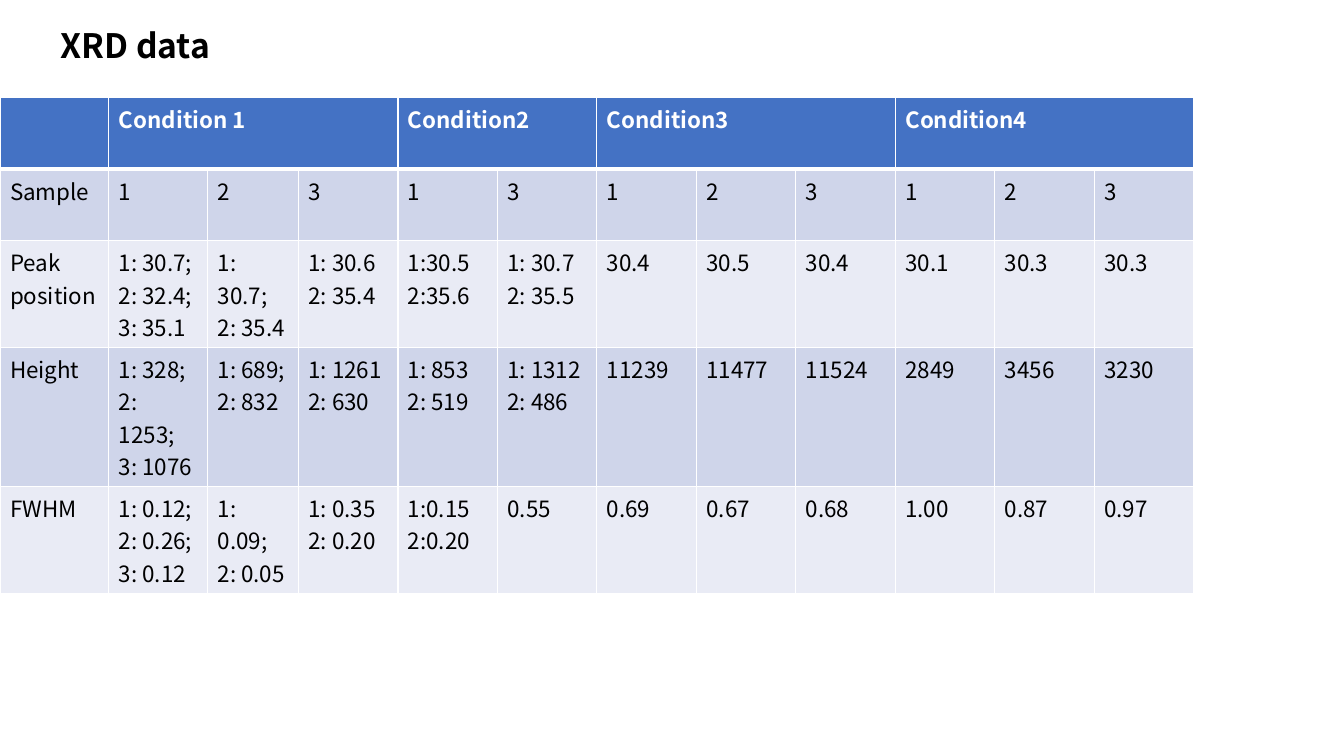
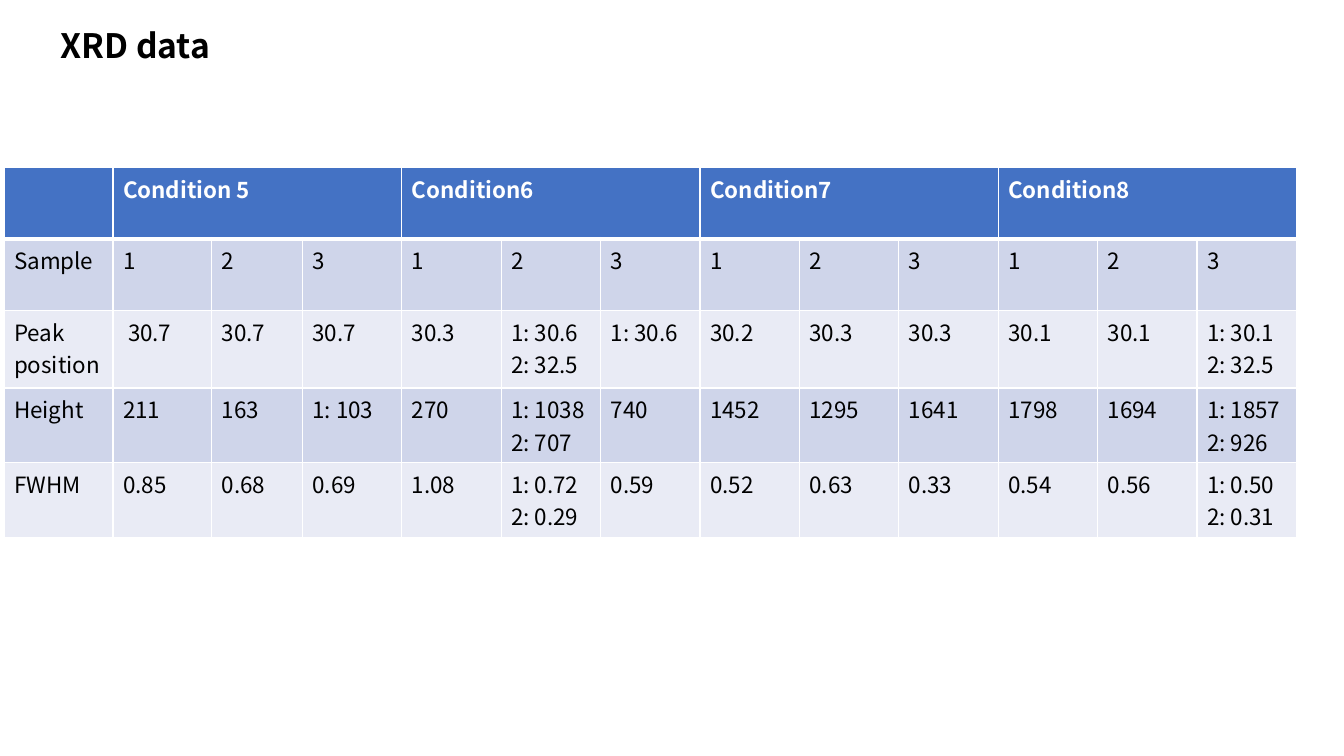
from dataclasses import dataclass

from lxml.etree import SubElement
from pptx import Presentation
from pptx.dml.color import RGBColor
from pptx.enum.text import MSO_ANCHOR, MSO_AUTO_SIZE, PP_ALIGN
from pptx.oxml.ns import qn
from pptx.util import Inches, Pt


@dataclass(frozen=True)
class Theme:
    """Colours, type sizes and grid measures shared by the slides."""
    font: str = "Noto Sans CJK SC"
    title_size: int = 24
    cell_size: int = 16
    text: str = "000000"
    white: str = "FFFFFF"
    header: str = "4472C4"
    bands: tuple = ("CFD5EA", "E9EBF5")
    rule: float = 1
    header_rule: float = 3
    title_box: tuple = (0.5, 0.2, 2.6, 0.5)
    first_cols: tuple = (1.08, 0.98, 0.9)
    head_rows: tuple = (0.71, 0.71)


THEME = Theme()

SLIDES = [
    {
        "box": (0, 0.97, 11.84, 4.92),
        "row_heights": (1.06, 1.38, 1.06),
        "groups": [("Condition 1", "123"), ("Condition2", "13"),
                   ("Condition3", "123"), ("Condition4", "123")],
        "rows": [
            ["Peak position", "1: 30.7;\n2: 32.4;\n3: 35.1", "1: 30.7;\n2: 35.4",
             "1: 30.6\n2: 35.4", "1:30.5\n2:35.6", "1: 30.7\n2: 35.5",
             "30.4", "30.5", "30.4", "30.1", "30.3", "30.3"],
            ["Height", "1: 328;\n2: 1253;\n3: 1076", "1: 689;\n2: 832",
             "1: 1261\n2: 630", "1: 853\n2: 519", "1: 1312\n2: 486",
             "11239", "11477", "11524", "2849", "3456", "3230"],
            ["FWHM", "1: 0.12;\n2: 0.26;\n3: 0.12", "1: 0.09;\n2: 0.05",
             "1: 0.35\n2: 0.20", "1:0.15\n2:0.20", "0.55",
             "0.69", "0.67", "0.68", "1.00", "0.87", "0.97"],
        ],
    },
    {
        "box": (0.04, 1.66, 12.82, 3.67),
        "row_heights": (0.77, 0.74, 0.74),
        "groups": [("Condition 5", "123"), ("Condition6", "123"),
                   ("Condition7", "123"), ("Condition8", "123")],
        "rows": [
            ["Peak position", " 30.7", "30.7", "30.7", "30.3", "1: 30.6\n2: 32.5",
             "1: 30.6", "30.2", "30.3", "30.3", "30.1", "30.1", "1: 30.1\n2: 32.5"],
            ["Height", "211", "163", "1: 103", "270", "1: 1038\n2: 707",
             "740", "1452", "1295", "1641", "1798", "1694", "1: 1857\n2: 926"],
            ["FWHM", "0.85", "0.68", "0.69", "1.08", "1: 0.72\n2: 0.29",
             "0.59", "0.52", "0.63", "0.33", "0.54", "0.56", "1: 0.50\n2: 0.31"],
        ],
    },
]


def add_run(p, text, size, color, bold):
    """Add one formatted run to a paragraph."""
    r = p.add_run()
    r.text = text
    r.font.name = THEME.font
    r.font.size = Pt(size)
    r.font.bold = bold
    r.font.color.rgb = RGBColor.from_string(color)


def add_title(s, text, box):
    """Place and format the title placeholder in the given box."""
    sp = s.shapes.title
    sp.left, sp.top, sp.width, sp.height = map(Inches, box)
    tf = sp.text_frame
    tf.word_wrap = True
    tf.auto_size = MSO_AUTO_SIZE.SHAPE_TO_FIT_TEXT
    tf.vertical_anchor = MSO_ANCHOR.TOP
    p = tf.paragraphs[0]
    p.alignment = PP_ALIGN.LEFT
    add_run(p, text, THEME.title_size, THEME.text, True)


def set_borders(cell, top, bottom):
    """Draw white rules round a cell with the given top and bottom widths."""
    tcPr = cell._tc.get_or_add_tcPr()
    widths = {"a:lnL": THEME.rule, "a:lnR": THEME.rule, "a:lnT": top, "a:lnB": bottom}
    for tag, width in widths.items():
        ln = SubElement(tcPr, qn(tag), w=str(Pt(width)))
        fill = SubElement(ln, qn("a:solidFill"))
        SubElement(fill, qn("a:srgbClr"), val=THEME.white)


def fill_cell(cell, row, text):
    """Style a cell by its row and write one paragraph per line."""
    is_header = row == 0
    set_borders(cell,
                THEME.header_rule if row == 1 else THEME.rule,
                THEME.header_rule if is_header else THEME.rule)
    cell.fill.solid()
    cell.fill.fore_color.rgb = RGBColor.from_string(
        THEME.header if is_header else THEME.bands[(row - 1) % 2])
    tf = cell.text_frame
    for i, line in enumerate(text.split("\n") if text else []):
        p = tf.paragraphs[0] if i == 0 else tf.add_paragraph()
        add_run(p, line, THEME.cell_size, THEME.white if is_header else THEME.text, is_header)


def add_data_table(s, box, row_heights, groups, rows):
    """Build the grouped data table across the given box."""
    header, samples = [""], ["Sample"]
    for name, numbers in groups:
        header += [name] + [""] * (len(numbers) - 1)
        samples += numbers
    grid = [header, samples] + rows
    equal_cols = len(header) - len(THEME.first_cols)
    equal_width = (box[2] - sum(THEME.first_cols)) / equal_cols
    cols = THEME.first_cols + (equal_width,) * equal_cols
    table = s.shapes.add_table(len(grid), len(cols), *map(Inches, box)).table
    table.horz_banding = False
    for column, width in zip(table.columns, cols):
        column.width = Inches(width)
    for i, (height, texts) in enumerate(zip(THEME.head_rows + row_heights, grid)):
        table.rows[i].height = Inches(height)
        for j, text in enumerate(texts):
            fill_cell(table.cell(i, j), i, text)
    start = 1
    for _, numbers in groups:
        end = start + len(numbers)
        table.cell(0, start).merge(table.cell(0, end - 1))
        start = end


def add_data_slide(prs, **content):
    """Add a titled slide holding one data table."""
    s = prs.slides.add_slide(prs.slide_layouts.get_by_name("Title Only"))
    add_data_table(s, **content)
    add_title(s, "XRD data", THEME.title_box)


def main():
    """Build and save the presentation."""
    prs = Presentation()
    prs.slide_width, prs.slide_height = Inches(13.33), Inches(7.5)
    for content in SLIDES:
        add_data_slide(prs, **content)
    prs.save("out.pptx")


if __name__ == "__main__":
    main()
